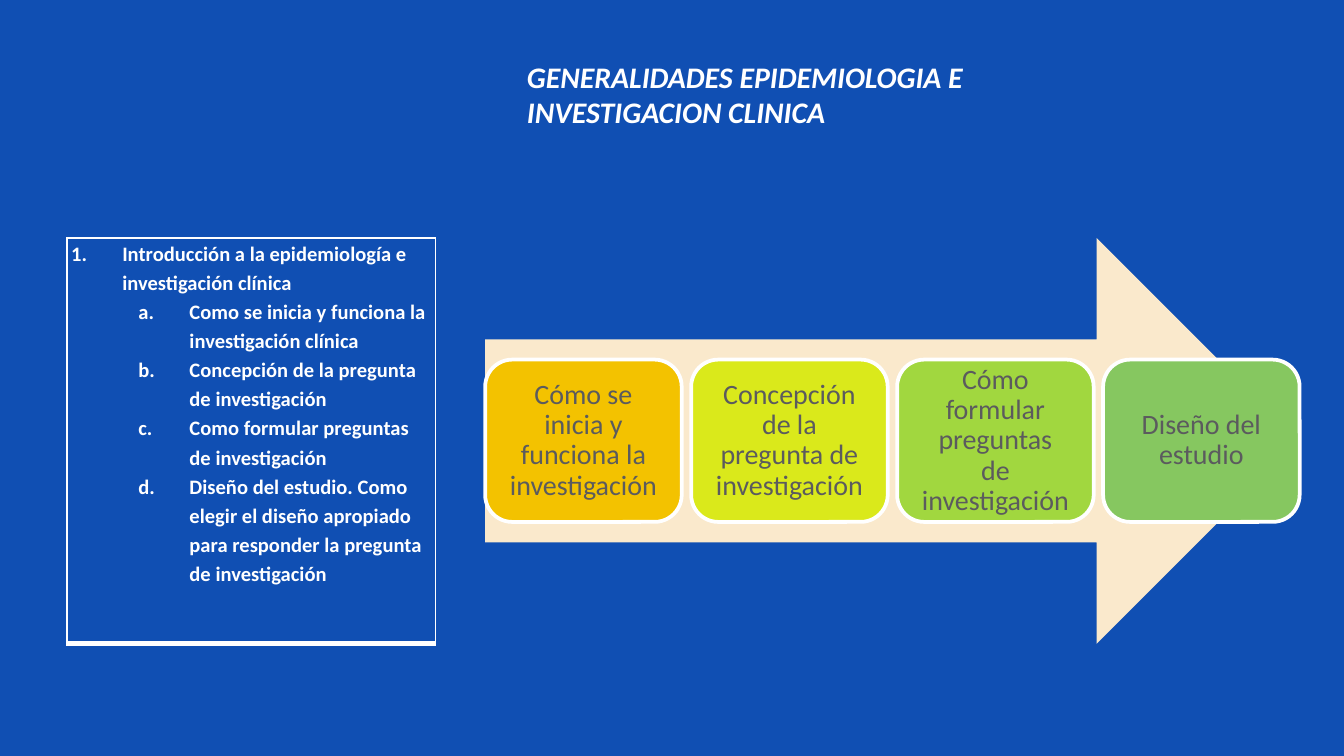
from lxml.etree import SubElement
from pptx import Presentation
from pptx.dml.color import RGBColor as RGB
from pptx.enum.shapes import MSO_SHAPE as SHAPE
from pptx.enum.text import MSO_ANCHOR as ANCHOR, MSO_AUTO_SIZE as FIT, PP_ALIGN as ALIGN
from pptx.oxml.ns import qn
from pptx.util import Inches, Pt

# Content
TITLE = "GENERALIDADES EPIDEMIOLOGIA E INVESTIGACION CLINICA"
TOPICS = [
    (0, "Introducción a la epidemiología e investigación clínica"),
    (1, "Como se inicia y funciona la investigación clínica"),
    (1, "Concepción de la pregunta de investigación"),
    (1, "Como formular preguntas de investigación"),
    (1, "Diseño del estudio. Como elegir el diseño apropiado "
        "para responder la pregunta de investigación"),
]
STEPS = [
    ("Cómo se inicia y funciona la investigación", "gold"),
    ("Concepción de la pregunta de investigación", "lime"),
    ("Cómo formular preguntas de investigación", "green"),
    ("Diseño del estudio", "sage"),
]
COLORS = {"back": "104FB3", "white": "FFFFFF", "cream": "FAE9CC", "gray": "5B5B5E",
          "gold": "F3C200", "lime": "DAE91B", "green": "A1D73F", "sage": "86C760"}

# Layout, in inches
WIDTH = 10
HEIGHT = WIDTH * 9 / 16
TOP, TALL = 1.77, 3.02
LIST_LEFT, LIST_WIDE = 0.5, 2.74
FLOW_LEFT, FLOW_WIDE = 3.61, 6.06
GAP = 0.07
STEP_WIDE = (FLOW_WIDE - GAP * (len(STEPS) - 1)) / len(STEPS)
STEP_TALL = TALL * 0.4
STEP_TOP = TOP + (TALL - STEP_TALL) / 2

# Text formats
HEAD = {"size": Pt(16), "bold": True, "italic": True}
ITEM = {"size": Pt(11), "bold": True}
STEP = {"size": Pt(15), "bold": False}
BULLETS = {0: "arabicPeriod", 1: "alphaLcPeriod"}
EDGES = {"a:lnL": 1, "a:lnR": 1, "a:lnT": 1, "a:lnB": 3}


def color(name):
    return RGB.from_string(COLORS[name])


def paint(fill, name):
    fill.solid()
    fill.fore_color.rgb = color(name)


def write(para, text, style, name):
    run = para.add_run()
    run.text = text
    for key, value in {"name": "Calibri", **style}.items():
        setattr(run.font, key, value)
    run.font.color.rgb = color(name)


def pad(part, *sides):
    for side, value in zip(("left", "top", "right", "bottom"), sides):
        setattr(part, "margin_" + side, Inches(value))


def add_shape(kind, box, name):
    shape = slide.shapes.add_shape(kind, *map(Inches, box))
    shape.shadow.inherit = False
    paint(shape.fill, name)
    shape.line.fill.background()
    return shape


prs = Presentation()
prs.slide_width, prs.slide_height = Inches(WIDTH), Inches(HEIGHT)
slide = prs.slides.add_slide(prs.slide_layouts[5])
paint(slide.background.fill, "back")

# Title
title = slide.shapes.title
for key, value in {"left": 3.82, "top": 0.28, "width": 3.87, "height": 0.84}.items():
    setattr(title, key, Inches(value))
frame = title.text_frame
frame.auto_size, frame.word_wrap = FIT.NONE, True
frame.vertical_anchor = ANCHOR.MIDDLE
pad(frame, 0.1, 0.12, 0.12, 0.12)
frame.paragraphs[0].alignment = ALIGN.LEFT
write(frame.paragraphs[0], TITLE, HEAD, "white")

# Framed list of topics
table = slide.shapes.add_table(
    1, 1, *map(Inches, (LIST_LEFT, TOP, LIST_WIDE, TALL))).table
table.first_row = table.horz_banding = False
cell = table.cell(0, 0)
pad(cell, 0.03, 0, 0.03, 0)
frame = cell.text_frame
for i, (level, text) in enumerate(TOPICS):
    para = frame.add_paragraph() if i else frame.paragraphs[0]
    para.level, para.line_spacing = level, 1.15
    write(para, text, ITEM, "white")
    props = para._p.get_or_add_pPr()
    props.set("marL", str(Inches(0.38 + 0.5 * level)))
    props.set("indent", str(Inches(-0.38)))
    SubElement(props, qn("a:buFont"), typeface="Calibri")
    SubElement(props, qn("a:buAutoNum"), type=BULLETS[level])

# Cell borders come before the cell fill
props = cell._tc.get_or_add_tcPr()
for tag, points in EDGES.items():
    edge = SubElement(props, qn(tag), w=str(Pt(points)))
    solid = SubElement(edge, qn("a:solidFill"))
    SubElement(solid, qn("a:srgbClr"), val=COLORS["white"])
paint(cell.fill, "back")

# Arrow with the steps on it
add_shape(SHAPE.RIGHT_ARROW, (FLOW_LEFT, TOP, FLOW_WIDE, TALL), "cream")
for i, (text, name) in enumerate(STEPS):
    left = FLOW_LEFT + i * (STEP_WIDE + GAP)
    step = add_shape(SHAPE.ROUNDED_RECTANGLE,
                     (left, STEP_TOP, STEP_WIDE, STEP_TALL), name)
    paint(step.line.fill, "white")
    step.line.width = Pt(2)
    frame = step.text_frame
    frame.word_wrap, frame.vertical_anchor = True, ANCHOR.MIDDLE
    pad(frame, 0.12, 0.06, 0.12, 0.06)
    para = frame.paragraphs[0]
    para.alignment, para.line_spacing = ALIGN.CENTER, 0.9
    write(para, text, STEP, "gray")

prs.save("out.pptx")
